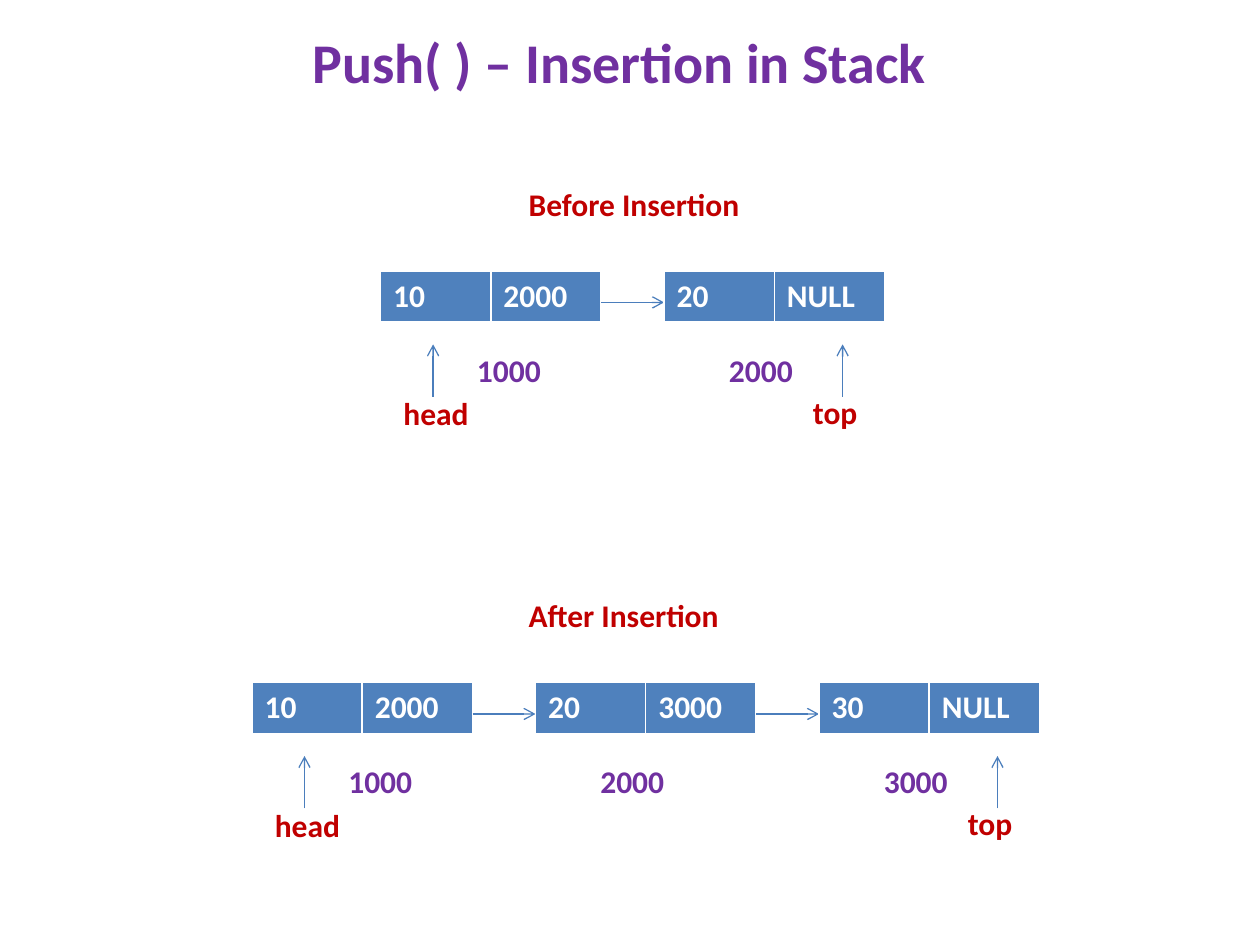
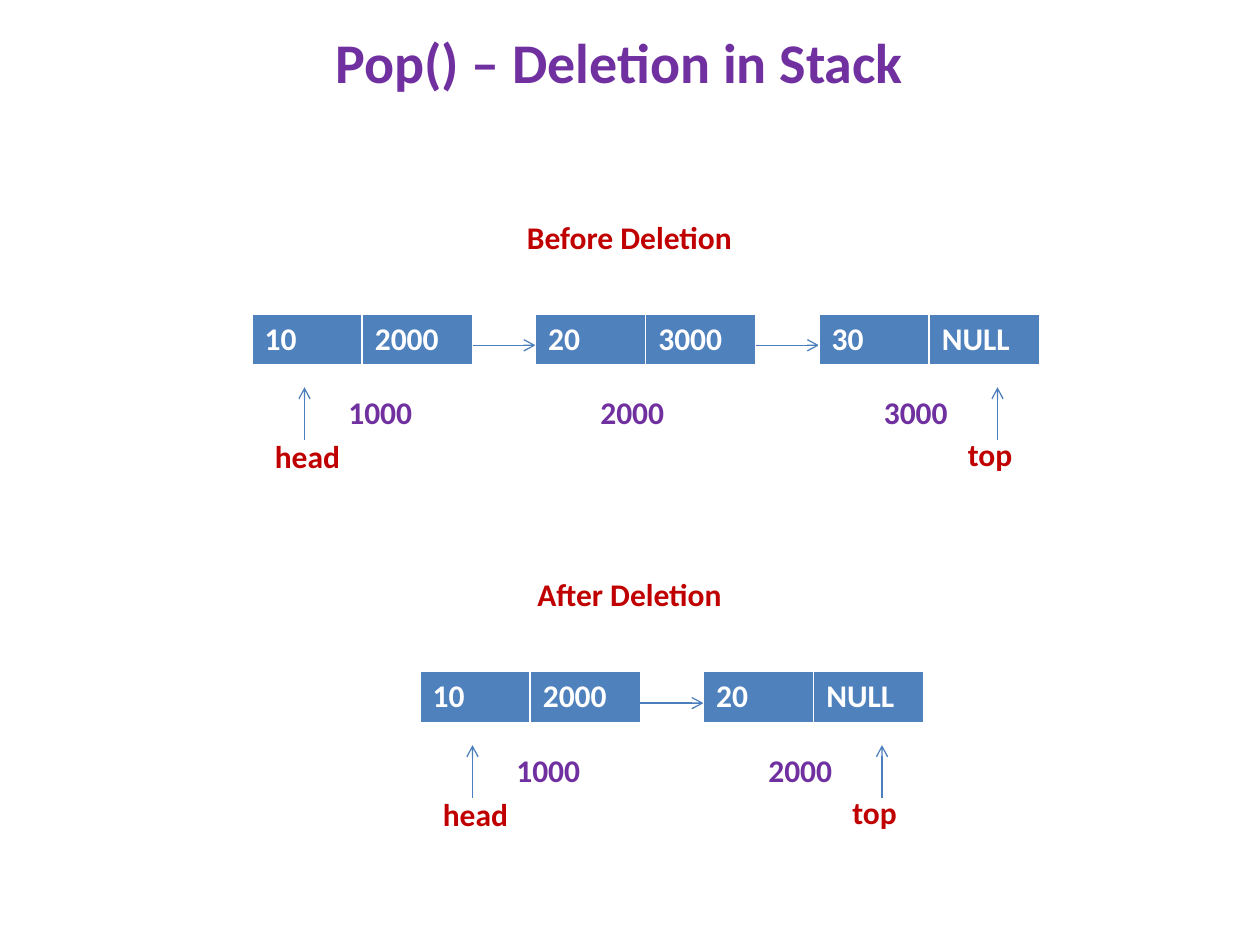
from lxml import etree
from pptx import Presentation
from pptx.dml.color import RGBColor
from pptx.enum import shapes, text
from pptx.oxml.ns import qn
from pptx.util import Pt

FONT = "Calibri"
COLORS = {"title": "7030A0", "address": "7030A0", "label": "C00000",
          "node": "4F81BD", "value": "FFFFFF", "arrow": "4B7EBC"}

# Each stage: heading, heading corner, chain corner, stacked values
SLIDES = [
    ("Push( ) – Insertion in Stack", [
        ("Before Insertion", (295, 102), (217.5, 154.8), [10, 20]),
        ("After Insertion", (295, 337), (144, 390), [10, 20, 30]),
    ]),
    ("Pop() – Deletion in Stack", [
        ("Before Deletion", (294, 121), (144, 179.3), [10, 20, 30]),
        ("After Deletion", (300, 325), (240, 383.8), [10, 20]),
    ]),
]

NODE_W, NODE_H, GAP = 126, 29.2, 36
PITCH = NODE_W + GAP
LABEL_W, LABEL_H = 66, 29


def style(para, color, size=18):
    font = para.font
    font.name, font.size, font.bold = FONT, Pt(size), True
    font.color.rgb = RGBColor.from_string(COLORS[color])


def label(slide, words, x, y, color="label", width=LABEL_W):
    box = slide.shapes.add_textbox(Pt(x), Pt(y), Pt(width), Pt(LABEL_H))
    box.text_frame.word_wrap = True
    box.text_frame.text = words
    style(box.text_frame.paragraphs[0], color)


def arrow(slide, x1, y1, x2, y2):
    line = slide.shapes.add_connector(
        shapes.MSO_CONNECTOR.STRAIGHT, Pt(x1), Pt(y1), Pt(x2), Pt(y2))
    line.line.width = Pt(0.75)
    line.line.color.rgb = RGBColor.from_string(COLORS["arrow"])
    etree.SubElement(line.line._get_or_add_ln(), qn("a:tailEnd"), type="arrow")
    etree.SubElement(line._element.spPr, qn("a:effectLst"))


def node(slide, x, y, fields):
    table = slide.shapes.add_table(
        1, len(fields), Pt(x), Pt(y), Pt(NODE_W), Pt(NODE_H)).table
    table.horz_banding = False
    for cell, field in zip(table.iter_cells(), fields):
        cell.text = field
        cell.fill.solid()
        cell.fill.fore_color.rgb = RGBColor.from_string(COLORS["node"])
        style(cell.text_frame.paragraphs[0], "value")


def chain(slide, x, y, values):
    """Draw the linked nodes with their addresses and the head and top pointers."""
    last = len(values) - 1
    for i, value in enumerate(values):
        left = x + i * PITCH
        link = "NULL" if i == last else str(1000 * (i + 2))
        node(slide, left, y, [str(value), link])
        label(slide, str(1000 * (i + 1)), left + (30 if i else 48), y + 42, "address")
        if i < last:
            arrow(slide, left + NODE_W, y + 18, left + PITCH, y + 18)
    end = x + last * PITCH
    for tip in (x + 30, end + 102):
        arrow(slide, tip, y + 72, tip, y + 42)
    label(slide, "head", x + 6, y + 67)
    label(slide, "top", end + 78, y + 66)


def title(slide, words):
    shape = slide.shapes.title
    shape.left, shape.top, shape.width, shape.height = map(Pt, (36, 12, 636, 46))
    frame = shape.text_frame
    frame.text = words
    frame.auto_size = text.MSO_AUTO_SIZE.NONE
    frame.vertical_anchor = text.MSO_ANCHOR.TOP
    frame.paragraphs[0].alignment = text.PP_ALIGN.CENTER
    style(frame.paragraphs[0], "title", 32)


def main():
    deck = Presentation()
    deck.slide_width, deck.slide_height = Pt(720), Pt(540)
    for name, stages in SLIDES:
        slide = deck.slides.add_slide(deck.slide_layouts[5])
        title(slide, name)
        for heading, spot, start, values in stages:
            label(slide, heading, *spot, width=168)
            chain(slide, *start, values)
    deck.save("out.pptx")


if __name__ == "__main__":
    main()
